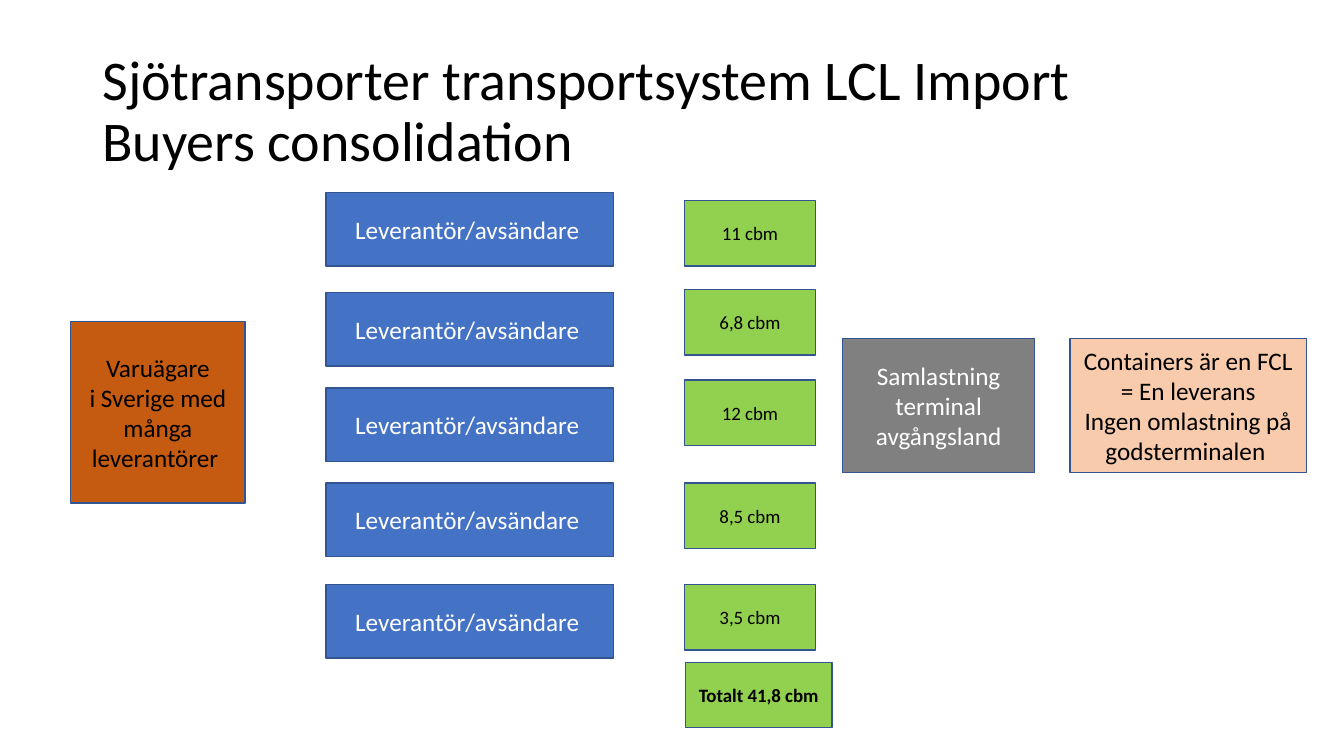
"""Build a slide on buyers consolidation for LCL sea imports."""
import pptx
import pptx.dml.color
import pptx.enum.shapes
import pptx.enum.text
import pptx.util

Cm = pptx.util.Cm
Pt = pptx.util.Pt

TITLE = "Sjötransporter transportsystem LCL Import\nBuyers consolidation"
SUPPLIER = "Leverantör/avsändare "
SUPPLIER_TOPS = [4.85, 7.37, 9.78, 12.17, 14.73]
VOLUMES = [
    ("11 cbm", 5.05),
    ("6,8 cbm", 7.3),
    ("12 cbm", 9.58),
    ("8,5 cbm", 12.17),
    ("3,5 cbm", 14.73),
]
TOTAL = "Totalt 41,8 cbm"
OWNER = ["Varuägare", "i Sverige med många leverantörer "]
TERMINAL = ["Samlastning terminal avgångsland"]
CONTAINERS = [
    "Containers är en FCL = En leverans",
    "Ingen omlastning på godsterminalen ",
]

BLACK, WHITE, OUTLINE = "000000", "FFFFFF", "325491"
BLUE, GREEN, ORANGE = "4472C4", "92D050", "C55A11"
GREY, PEACH = "808080", "F8CBAD"


def color(value):
    return pptx.dml.color.RGBColor.from_string(value)


def write(box, lines, size, ink, align, bold=False):
    frame = box.text_frame
    frame.word_wrap = True
    frame.vertical_anchor = pptx.enum.text.MSO_ANCHOR.MIDDLE
    for index, line in enumerate(lines):
        para = frame.add_paragraph() if index else frame.paragraphs[0]
        para.text = line
        para.alignment = align
        para.font.name = "Calibri"
        para.font.size = Pt(size)
        para.font.bold = bold
        para.font.color.rgb = color(ink)
    return frame


def add_box(page, place, lines, fill, ink=BLACK, size=18, bold=False):
    box = page.shapes.add_shape(
        pptx.enum.shapes.MSO_SHAPE.RECTANGLE, *map(Cm, place))
    box.shadow.inherit = False
    box.fill.solid()
    box.fill.fore_color.rgb = color(fill)
    box.line.color.rgb = color(OUTLINE)
    box.line.width = Pt(1)
    write(box, lines, size, ink, pptx.enum.text.PP_ALIGN.CENTER, bold)


def main():
    deck = pptx.Presentation()
    deck.slide_width, deck.slide_height = Cm(33.87), Cm(19.05)
    page = deck.slides.add_slide(deck.slide_layouts[6])

    title = page.shapes.add_textbox(Cm(2.33), Cm(1.01), Cm(29.21), Cm(3.68))
    frame = write(title, [TITLE], 40, BLACK, pptx.enum.text.PP_ALIGN.LEFT)
    frame.paragraphs[0].line_spacing = 0.9

    for top in SUPPLIER_TOPS:
        add_box(page, (8.22, top, 7.25, 1.85), [SUPPLIER], BLUE, WHITE)
    for volume, top in VOLUMES:
        add_box(page, (17.25, top, 3.3, 1.65), [volume], GREEN, size=13.5)
    add_box(page, (17.27, 16.69, 3.7, 1.65), [TOTAL], GREEN, size=13.5, bold=True)

    add_box(page, (26.97, 8.53, 5.95, 3.38), CONTAINERS, PEACH)
    add_box(page, (1.78, 8.1, 4.4, 4.58), OWNER, ORANGE)
    add_box(page, (21.23, 8.53, 4.85, 3.38), TERMINAL, GREY, WHITE)

    deck.save("out.pptx")


if __name__ == "__main__":
    main()
